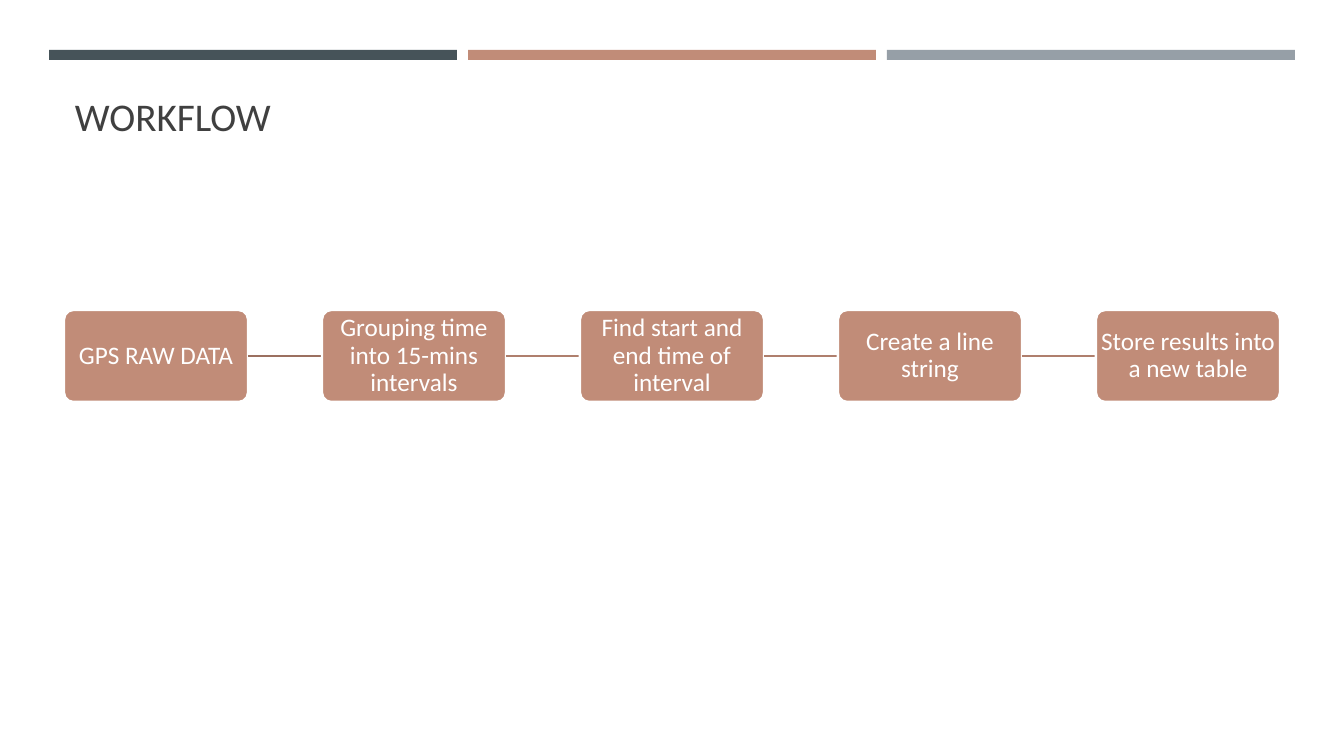
from pptx import Presentation
from pptx.dml.color import RGBColor
from pptx.enum.shapes import MSO_CONNECTOR, MSO_SHAPE
from pptx.enum.text import MSO_ANCHOR, PP_ALIGN
from pptx.oxml.ns import qn
from pptx.util import Pt
from lxml import etree

RECT, ROUND = MSO_SHAPE.RECTANGLE, MSO_SHAPE.ROUNDED_RECTANGLE
LINE = MSO_CONNECTOR.STRAIGHT
MID, LOW = MSO_ANCHOR.MIDDLE, MSO_ANCHOR.BOTTOM
CENTER, LEFT = PP_ALIGN.CENTER, PP_ALIGN.LEFT

SLATE = RGBColor(0x46, 0x53, 0x59)
CLAY = RGBColor(0xC1, 0x8C, 0x78)
GRAY = RGBColor(0x96, 0x9F, 0xA7)
INK = RGBColor(0x40, 0x40, 0x40)
WHITE = RGBColor(0xFF, 0xFF, 0xFF)
DARK = RGBColor(0x9B, 0x70, 0x60)
BROWN = RGBColor(0xAF, 0x7F, 0x6D)

TITLE = "WORKFLOW"
BARS = [SLATE, CLAY, GRAY]
STEPS = [
    "GPS RAW DATA",
    "Grouping time into 15-mins intervals",
    "Find start and end time of interval",
    "Create a line string",
    "Store results into a new table",
]
LINKS = [DARK, BROWN, BROWN, BROWN]

BAR_X, BAR_Y, BAR_W, BAR_H, BAR_STEP = 49, 50, 408, 10, 419
BOX_X, BOX_Y, BOX_W, BOX_H, BOX_STEP = 64, 310, 184, 92, 258


def px(n):
    return round(n * 914400 / 100.8)


def add_box(slide, kind, x, y, w, h, fill):
    box = slide.shapes.add_shape(kind, px(x), px(y), px(w), px(h))
    box.shadow.inherit = False
    box.fill.solid()
    box.fill.fore_color.rgb = fill
    box.line.fill.background()
    return box


def put_text(shape, text, size, color, align, anchor):
    frame = shape.text_frame
    frame.word_wrap = True
    frame.vertical_anchor = anchor
    frame.text = text
    para = frame.paragraphs[0]
    para.alignment = align
    font = para.runs[0].font
    font.name, font.size, font.color.rgb = "Calibri", Pt(size), color
    return frame


def add_step(slide, x, text):
    box = add_box(slide, ROUND, x, BOX_Y, BOX_W, BOX_H, CLAY)
    box.adjustments[0] = 0.1
    box.line.color.rgb = WHITE
    box.line.width = Pt(1.75)
    frame = put_text(box, text, 18, WHITE, CENTER, MID)
    frame.margin_left = frame.margin_right = px(1)
    frame.margin_top = frame.margin_bottom = px(1)
    frame.paragraphs[0].line_spacing = 0.9
    return box


def add_link(slide, x, color):
    y = px(BOX_Y + BOX_H / 2)
    link = slide.shapes.add_connector(
        LINE, px(x + BOX_W), y, px(x + BOX_STEP), y)
    link.line.color.rgb = color
    link.line.width = Pt(1.75)
    etree.SubElement(link.element.spPr, qn("a:effectLst"))
    return link


def main():
    deck = Presentation()
    deck.slide_width, deck.slide_height = px(1344), px(756)
    slide = deck.slides.add_slide(deck.slide_layouts[6])

    for i, color in enumerate(BARS):
        add_box(slide, RECT, BAR_X + i * BAR_STEP, BAR_Y, BAR_W, BAR_H, color)

    title = slide.shapes.add_textbox(px(65), px(78), px(1216), px(66))
    put_text(title, TITLE, 28, INK, LEFT, LOW)

    link = None
    for i, text in enumerate(STEPS):
        x = BOX_X + i * BOX_STEP
        box = add_step(slide, x, text)
        if link:
            link.end_connect(box, 1)
        if i < len(LINKS):
            link = add_link(slide, x, LINKS[i])
            link.begin_connect(box, 3)

    deck.save("out.pptx")


if __name__ == "__main__":
    main()
